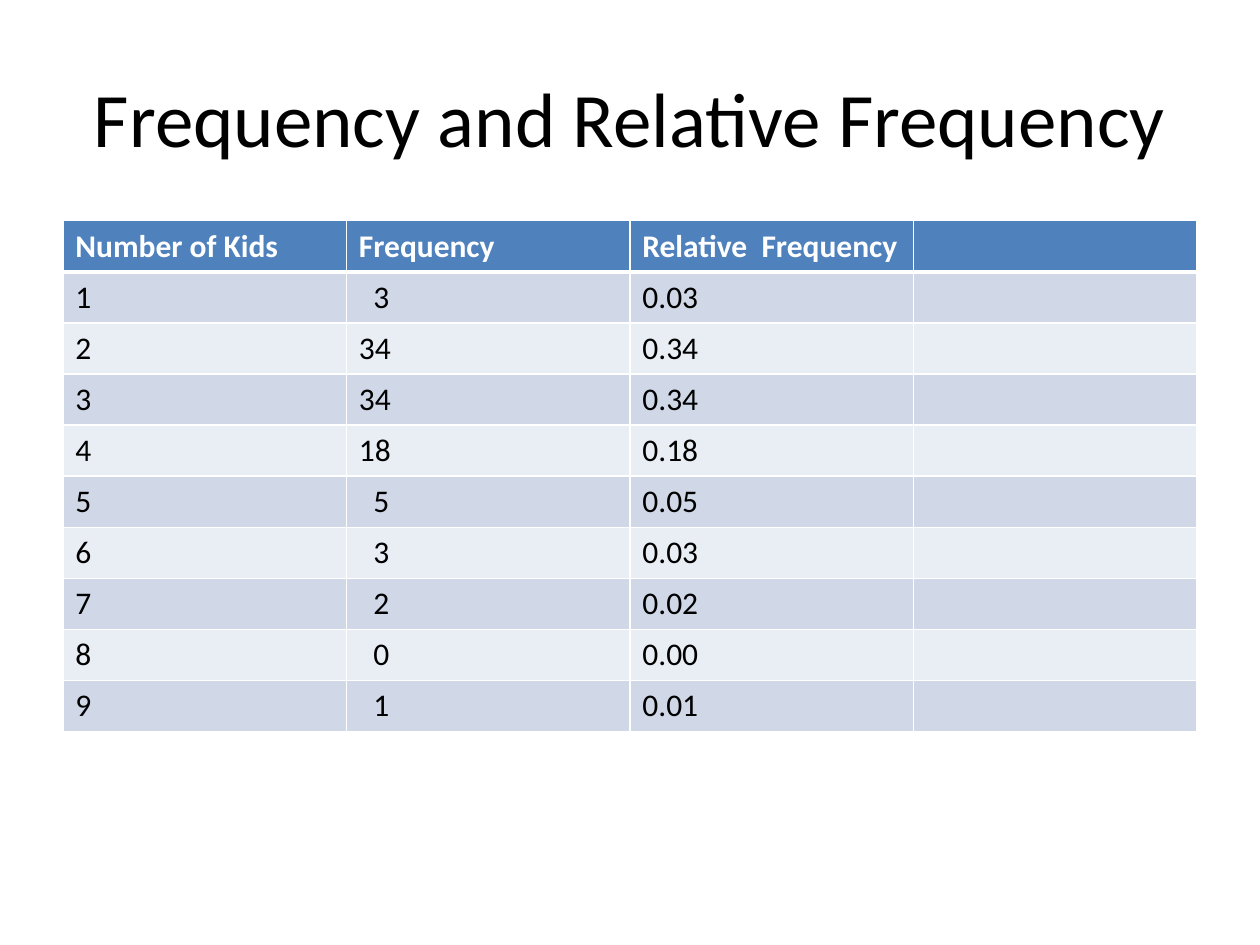
import pptx
import pptx.dml.color
import pptx.enum.text
import pptx.oxml
import pptx.oxml.ns
import pptx.util
from dataclasses import dataclass

TITLE = "Frequency and Relative Frequency"
HEAD = ("Number of Kids", "Frequency", "Relative  Frequency", "")
KIDS = (3, 34, 34, 18, 5, 3, 2, 0, 1)
TOTAL = 100

Cm = pptx.util.Cm


@dataclass(frozen=True)
class Theme:
    """Colours, type sizes and line widths of the slide."""
    font: str = "Calibri"
    dark: str = "000000"
    light: str = "FFFFFF"
    head: str = "4F81BD"
    bands: tuple = ("D0D8E8", "E9EDF4")
    title: int = 44
    body: int = 18
    thin: int = 1
    thick: int = 3


THEME = Theme()
LEFT, WIDTH = 1.27, 22.86
ROW = 1.03
PAD, DIGIT = 0.25, 0.29


def rgb(code):
    """Turn a hex code into a colour."""
    return pptx.dml.color.RGBColor.from_string(code)


def style(para, size, color, bold=False):
    """Set the font of a paragraph."""
    font = para.font
    font.name, font.size, font.bold = THEME.font, pptx.util.Pt(size), bold
    font.color.rgb = rgb(color)


def border(cell, top, base):
    """Draw the four edges of a cell, widths in points."""
    props = cell._tc.get_or_add_tcPr()
    edges = {"L": THEME.thin, "R": THEME.thin, "T": top, "B": base}
    for side, width in edges.items():
        props.append(pptx.oxml.parse_xml(
            f'<a:ln{side} {pptx.oxml.ns.nsdecls("a")} w="{pptx.util.Pt(width)}">'
            f'<a:solidFill><a:srgbClr val="{THEME.light}"/></a:solidFill>'
            f'</a:ln{side}>'))


def add_title(slide):
    """Place the centred title."""
    box = slide.shapes.add_textbox(Cm(LEFT), Cm(0.76), Cm(WIDTH), Cm(3.18))
    frame = box.text_frame
    frame.word_wrap = True
    frame.vertical_anchor = pptx.enum.text.MSO_ANCHOR.MIDDLE
    frame.text = TITLE
    para = frame.paragraphs[0]
    para.alignment = pptx.enum.text.PP_ALIGN.CENTER
    style(para, THEME.title, THEME.dark)


def add_grid(slide):
    """Place the table, with relative values worked out from the counts."""
    rows = [HEAD] + [(str(kids), str(count), f"{count / TOTAL:.2f}", "")
                     for kids, count in enumerate(KIDS, 1)]
    grid = slide.shapes.add_table(len(rows), len(HEAD), Cm(LEFT), Cm(4.45),
                                  Cm(WIDTH), Cm(ROW * len(rows))).table
    for r, row in enumerate(rows):
        grid.rows[r].height = Cm(ROW)
        top = r == 0
        fill = THEME.head if top else THEME.bands[(r - 1) % 2]
        color = THEME.light if top else THEME.dark
        for c, text in enumerate(row):
            cell = grid.cell(r, c)
            cell.text = text
            style(cell.text_frame.paragraphs[0], THEME.body, color, top)
            indent = DIGIT if c == 1 and len(text) == 1 else 0
            cell.margin_left = Cm(PAD + indent)
            border(cell, THEME.thick if r == 1 else THEME.thin,
                   THEME.thick if top else THEME.thin)
            cell.fill.solid()
            cell.fill.fore_color.rgb = rgb(fill)


def main():
    """Build and save the slide."""
    deck = pptx.Presentation()
    deck.slide_width, deck.slide_height = Cm(25.4), Cm(19.05)
    slide = deck.slides.add_slide(deck.slide_layouts[6])
    add_title(slide)
    add_grid(slide)
    deck.save("out.pptx")


main()
